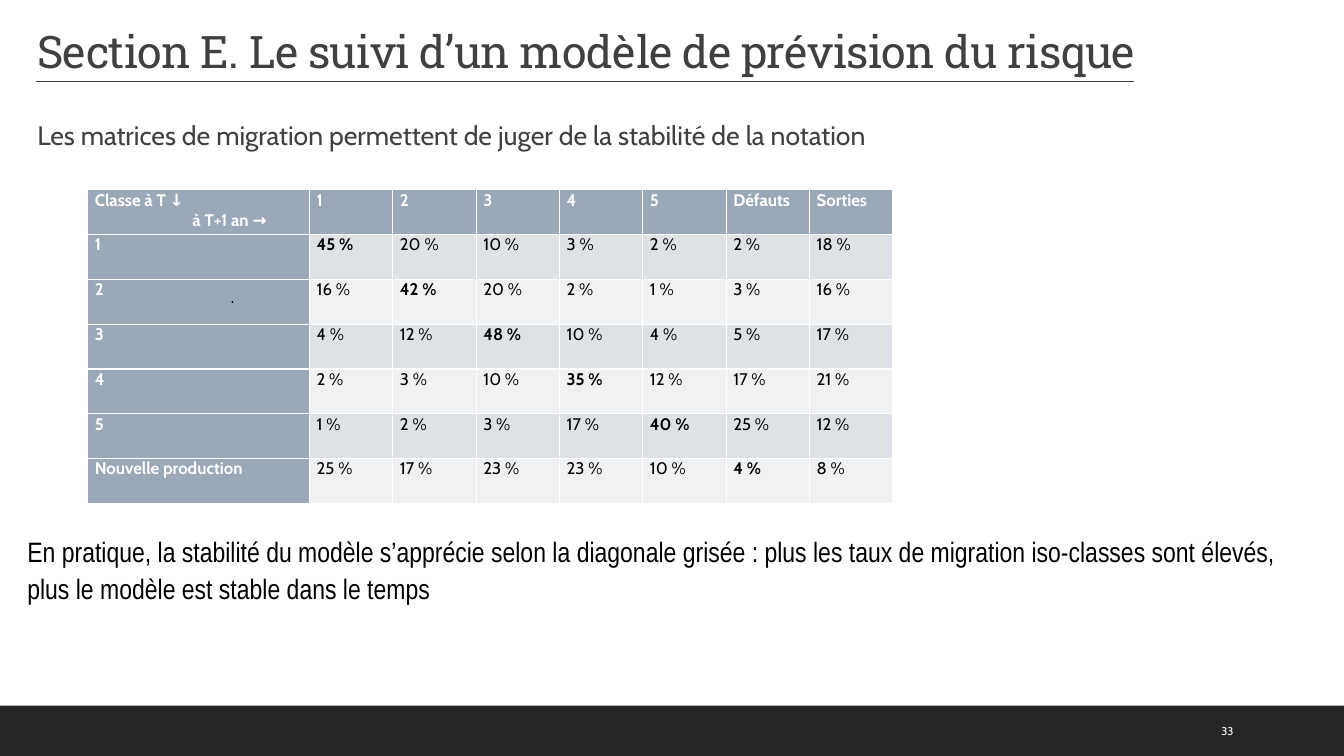
from pptx import Presentation
from pptx.dml.color import RGBColor
from pptx.enum.shapes import MSO_CONNECTOR, MSO_SHAPE
from pptx.enum.text import MSO_ANCHOR
from pptx.oxml.ns import qn
from pptx.util import Cm, Pt
from lxml import etree

WHITE = RGBColor(0xFF, 0xFF, 0xFF)
BLACK = RGBColor(0, 0, 0)
DARK = RGBColor(0x26, 0x26, 0x26)
GREY = RGBColor(0x40, 0x40, 0x40)
HEADER = RGBColor(0x9B, 0xA8, 0xB7)
BANDS = [RGBColor(0xDE, 0xE1, 0xE6), RGBColor(0xEF, 0xF1, 0xF3)]


def style(p, font, size, color, bold=False):
    p.font.name, p.font.size, p.font.bold = font, Pt(size), bold
    p.font.color.rgb = color


def add_text(s, box, text, font, size, color, spacing=1.0, inset=0.25,
             anchor=MSO_ANCHOR.TOP, wrap=True):
    tf = s.shapes.add_textbox(*[Cm(v) for v in box]).text_frame
    tf.word_wrap, tf.vertical_anchor = wrap, anchor
    tf.margin_left = tf.margin_right = Cm(inset)
    p = tf.paragraphs[0]
    p.text, p.line_spacing = text, spacing
    style(p, font, size, color)
    return p


prs = Presentation()
prs.slide_width, prs.slide_height = Cm(33.87), Cm(19.05)
s = prs.slides.add_slide(prs.slide_layouts[6])

# Footer band and page number
band = s.shapes.add_shape(MSO_SHAPE.RECTANGLE, 0, Cm(17.78), prs.slide_width, Cm(1.27))
band.shadow.inherit = False
band.fill.solid()
band.fill.fore_color.rgb = DARK
band.line.fill.background()
add_text(s, (30.53, 17.91, 2.16, 1.02), "33", "Cabin", 8, WHITE, anchor=MSO_ANCHOR.MIDDLE)

# Title and its rule
rule = s.shapes.add_connector(MSO_CONNECTOR.STRAIGHT, Cm(0.9), Cm(2.05), Cm(28.58), Cm(2.05))
rule.line.color.rgb = GREY
rule.line.width = Pt(1)
etree.SubElement(rule._element.spPr, qn("a:effectLst"))
p = add_text(s, (0.69, 0.13, 30.78, 1.96),
             "Section E. Le suivi d’un modèle de prévision du risque",
             "Roboto Slab", 32, GREY, spacing=0.9, anchor=MSO_ANCHOR.BOTTOM)
p.runs[0]._r.get_or_add_rPr().set("spc", "-50")

# Lead-in and conclusion
add_text(s, (0.69, 2.79, 32.03, 1.2),
         "Les matrices de migration permettent de juger de la stabilité de la notation",
         "Cabin", 19, GREY, spacing=1.1)
add_text(s, (0.69, 13.25, 32.03, 2.2),
         "En pratique, la stabilité du modèle s’apprécie selon la diagonale grisée : "
         "plus les taux de migration iso-classes sont élevés, "
         "plus le modèle est stable dans le temps",
         "Arial Narrow", 20, BLACK, spacing=1.1, inset=0)

# Migration matrix
heads = ["Classe à T ↓\nà T+1 an →", "1", "2", "3", "4", "5", "Défauts", "Sorties"]
rates = {
    "1": [45, 20, 10, 3, 2, 2, 18],
    "2": [16, 42, 20, 2, 1, 3, 16],
    "3": [4, 12, 48, 10, 4, 5, 17],
    "4": [2, 3, 10, 35, 12, 17, 21],
    "5": [1, 2, 3, 17, 40, 25, 12],
    "Nouvelle production": [25, 17, 23, 23, 10, 4, 8],
}
rows = [heads] + [[name] + [f"{v} %" for v in vals] for name, vals in rates.items()]
table = s.shapes.add_table(len(rows), len(heads), Cm(2.21), Cm(4.78), Cm(20.29), Cm(7.92)).table
table.first_col = True
for j, col in enumerate(table.columns):
    col.width = Cm(2.1 if j else 5.59)
for i, row in enumerate(rows):
    table.rows[i].height = Cm(1.13)
    for j, text in enumerate(row):
        cell = table.cell(i, j)
        cell.margin_left = cell.margin_right = Cm(0.18)
        cell.margin_top = cell.margin_bottom = 0
        is_head = i == 0 or j == 0
        cell.fill.solid()
        cell.fill.fore_color.rgb = HEADER if is_head else BANDS[(i - 1) % 2]
        cell.text = text
        for p in cell.text_frame.paragraphs:
            style(p, "Cabin", 12, WHITE if is_head else BLACK, is_head or i == j)
# The second line of the corner cell is indented
table.cell(0, 0).text_frame.paragraphs[1]._p.get_or_add_pPr().set("marL", str(Cm(2.46)))

# Dot over the matrix
add_text(s, (5.56, 7.09, 0.61, 0.76), ".", "Arial Narrow", 12, BLACK,
         anchor=MSO_ANCHOR.MIDDLE, wrap=False)

prs.save("out.pptx")
